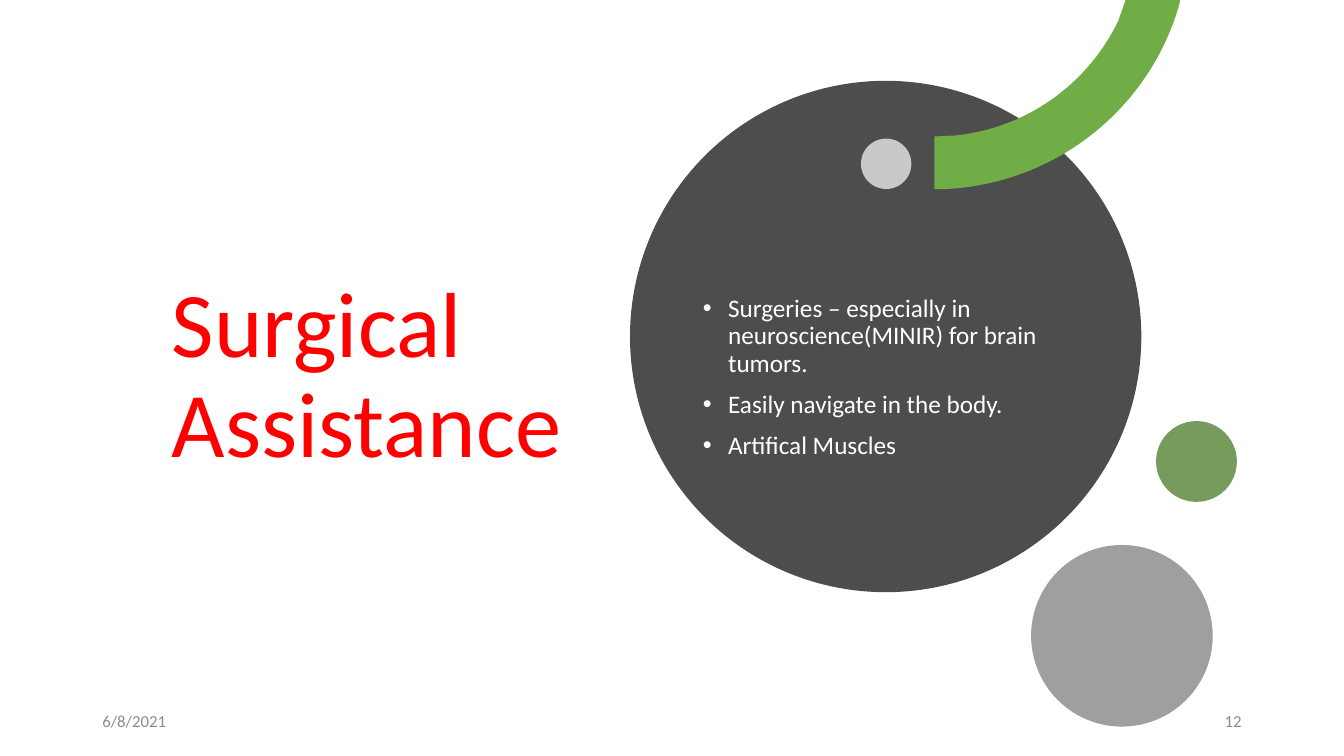
from dataclasses import dataclass

from lxml.etree import SubElement
from pptx import Presentation
from pptx.dml.color import RGBColor
from pptx.enum.shapes import MSO_SHAPE as Geo
from pptx.enum.text import MSO_ANCHOR as Anchor, PP_ALIGN as Align
from pptx.oxml.ns import qn
from pptx.util import Pt

PX = 9525
STEPS = 32


@dataclass(frozen=True)
class Theme:
    font: str = "Calibri"
    title: str = "FF0000"
    body: str = "FFFFFF"
    foot: str = "8C8C8C"
    disc: str = "4D4D4D"
    dot: str = "FFFFFF"
    arc: str = "70AD47"
    green: str = "548235"
    grey: str = "404040"
    big: int = 66
    mid: int = 18
    small: int = 12


LOOK = Theme()


def emu(box):
    return [n * PX for n in box]


def paint(shape, color, alpha=100):
    """Flat fill without line or shadow; alpha is opacity in percent."""
    shape.shadow.inherit = False
    shape.line.fill.background()
    shape.fill.solid()
    shape.fill.fore_color.rgb = RGBColor.from_string(color)
    if alpha < 100:
        tint = shape.fill._xPr.find(qn("a:solidFill"))[0]
        SubElement(tint, qn("a:alpha"), val=str(alpha * 1000))


def add_disc(slide, box, color, alpha=100):
    paint(slide.shapes.add_shape(Geo.OVAL, *emu(box)), color, alpha)


def add_text(slide, box, lines, size, color, align=Align.LEFT, space=1.0):
    frame = slide.shapes.add_textbox(*emu(box)).text_frame
    frame.word_wrap = True
    frame.vertical_anchor = Anchor.MIDDLE
    frame.text = "\n".join(lines)
    for para in frame.paragraphs:
        para.alignment = align
        para.line_spacing = space
        for run in para.runs:
            run.font.name = LOOK.font
            run.font.size = Pt(size)
            run.font.color.rgb = RGBColor.from_string(color)
    return frame


def add_list(slide, box, lines):
    frame = add_text(slide, box, lines, LOOK.mid, LOOK.body, space=0.9)
    for i, para in enumerate(frame.paragraphs):
        if i:
            para.space_before = Pt(10)
        props = para._p.get_or_add_pPr()
        props.set("marL", str(24 * PX))
        props.set("indent", str(-24 * PX))
        SubElement(props, qn("a:buFont"), typeface="Arial")
        SubElement(props, qn("a:buChar"), char="•")


def bend(a, b, c, d):
    """Points along a cubic curve, both ends included."""
    for i in range(STEPS + 1):
        t = i / STEPS
        u = 1 - t
        yield tuple(
            u**3 * p + 3 * u * u * t * q + 3 * u * t * t * r + t**3 * s
            for p, q, r, s in zip(a, b, c, d)
        )


def add_arc(slide, box):
    left, top, wide, high = box
    outer = bend((233, 5), (205, 102), (118, 174), (12, high))
    inner = bend((20, 129), (88, 122), (146, 80), (175, 20))
    dots = [(182, 0), (wide, 0), *outer, (0, high), (0, 130), *inner]
    spots = [((left + x) * PX, (top + y) * PX) for x, y in dots]
    path = slide.shapes.build_freeform(*spots[0])
    path.add_line_segments(spots[1:], close=True)
    paint(path.convert_to_shape(), LOOK.arc)


def add_art(slide, box):
    """Main disc with the arc and smaller discs set around it."""
    left, top, size = box
    add_disc(slide, (left, top, size, size), LOOK.disc)
    add_disc(slide, (left + 220, top + 55, 48, 48), LOOK.dot, 70)
    add_arc(slide, (left + 290, top - 77, 234, 180))
    add_disc(slide, (left + 501, top + 324, 77, 77), LOOK.green, 80)
    add_disc(slide, (left + 382, top + 442, 173, 173), LOOK.grey, 50)


def add_foot(slide, box, date, page):
    left, top, wide, high = box
    cell = 288
    ends = ((left, date, Align.LEFT), (left + wide - cell, page, Align.RIGHT))
    for x, text, align in ends:
        add_text(slide, (x, top, cell, high), [text],
                 LOOK.small, LOOK.foot, align)


def main():
    deck = Presentation()
    deck.slide_width, deck.slide_height = emu((1280, 720))
    slide = deck.slides.add_slide(deck.slide_layouts[6])
    add_text(slide, (154, 114, 399, 491), ["Surgical Assistance"],
             LOOK.big, LOOK.title, space=0.9)
    add_art(slide, (600, 77, 487))
    add_list(slide, (660, 185, 376, 350), [
        "Surgeries – especially in neuroscience(MINIR) for brain tumors.",
        "Easily navigate in the body.",
        "Artifical Muscles",
    ])
    add_foot(slide, (88, 667, 1104, 38), "6/8/2021", "12")
    deck.save("out.pptx")


if __name__ == "__main__":
    main()
